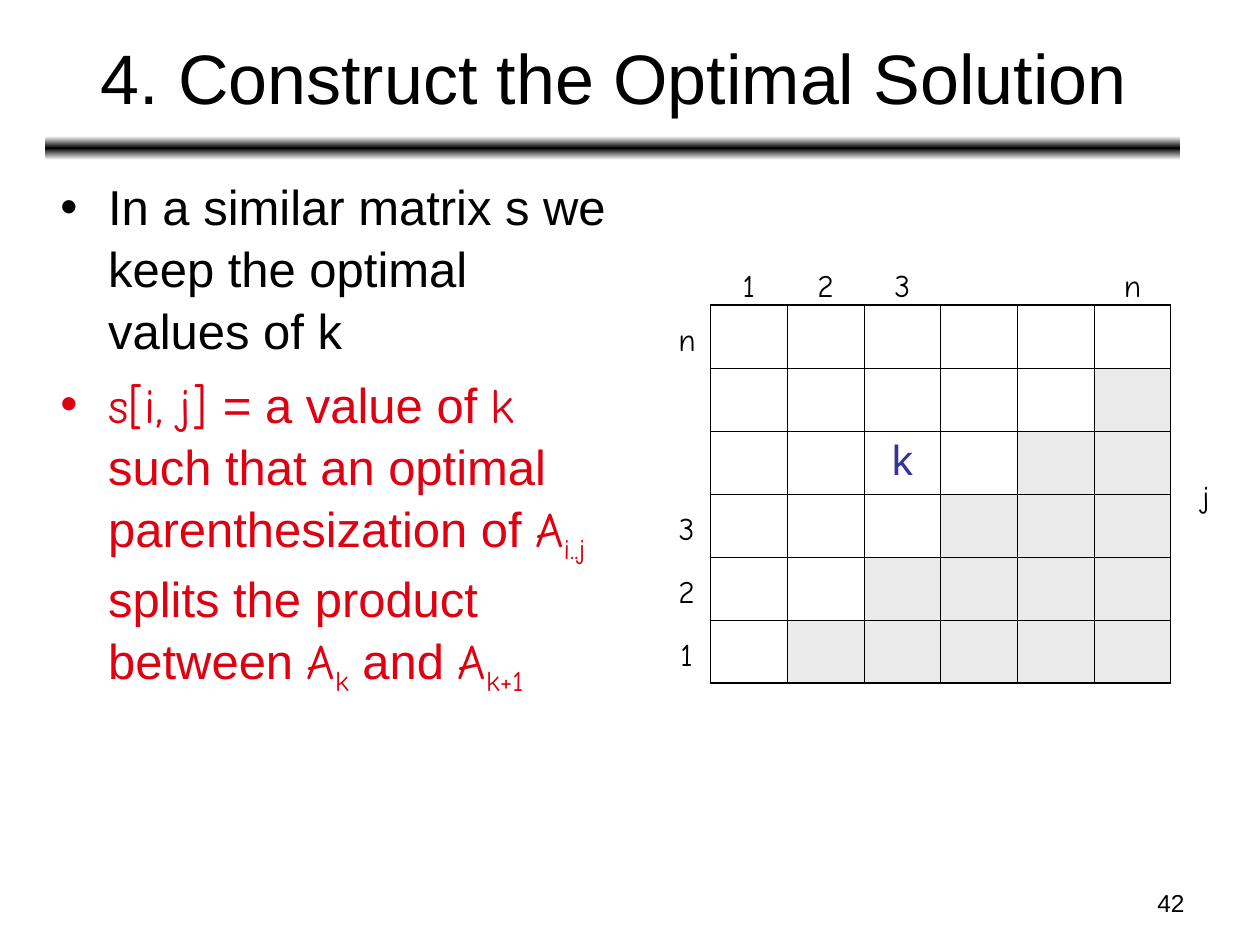
from copy import deepcopy
from pptx import Presentation
from pptx.dml.color import RGBColor
from pptx.enum.shapes import MSO_SHAPE
from pptx.enum.text import MSO_ANCHOR, PP_ALIGN
from pptx.oxml.ns import qn
from pptx.util import Inches, Pt
from lxml import etree

BAR = MSO_SHAPE.ROUNDED_RECTANGLE
MIDDLE = MSO_ANCHOR.MIDDLE
LEFT, CENTER, RIGHT = PP_ALIGN.LEFT, PP_ALIGN.CENTER, PP_ALIGN.RIGHT
SANS, HAND = "Arial", "Comic Neue"
BLACK, WHITE, RED, BLUE, GRAY = "000000", "FFFFFF", "DD0111", "333399", "EAEAEA"

TITLE = "4. Construct the Optimal Solution"
PAGE = "42"
# Each bullet: colour, then runs of (text, font, baseline in percent)
BULLETS = [
    (BLACK, [("In a similar matrix s we keep the optimal values of k", SANS, 0)]),
    (RED, [
        ("s[i, j] ", HAND, 0), ("= a value of ", SANS, 0), ("k", HAND, 0),
        (" such that an optimal parenthesization of ", SANS, 0),
        ("A", HAND, 0), ("i..j", HAND, -25),
        (" splits the product between ", SANS, 0),
        ("A", HAND, 0), ("k", HAND, -25), (" and ", SANS, 0),
        ("A", HAND, 0), ("k+1", HAND, -25),
    ]),
]
SIZE = 6
GRID_X, GRID_Y, GRID_W, GRID_H = 5.64, 2.42, 3.65, 3
COL_W, ROW_H = GRID_W / SIZE, GRID_H / SIZE
COLS = {0: "1", 1: "2", 2: "3", 5: "n"}
ROWS = {0: "n", 3: "3", 4: "2", 5: "1"}
K_CELL = (2, 2)
THICK, THIN = 1.08, 0.45


def rgb(code):
    return RGBColor.from_string(code)


def style(font, size, name=SANS, color=BLACK):
    for key, value in {"size": Pt(size), "name": name}.items():
        setattr(font, key, value)
    font.color.rgb = rgb(color)


def write(frame, text, size, align, name=SANS, color=BLACK):
    para = frame.paragraphs[0]
    para.alignment = align
    run = para.add_run()
    run.text = text
    style(run.font, size, name, color)


def add_box(slide, x, y, w, h, wrap=True):
    frame = slide.shapes.add_textbox(*map(Inches, (x, y, w, h))).text_frame
    frame.word_wrap = wrap
    return frame


def add_bar(slide):
    bar = slide.shapes.add_shape(BAR, *map(Inches, (0.36, 1.08, 9.01, 0.19)))
    bar.shadow.inherit = False
    bar.line.fill.background()
    bar.fill.gradient()
    bar.fill.gradient_angle = 90
    stops = bar._element.spPr.find(".//" + qn("a:gsLst"))
    stops.append(deepcopy(stops[0]))
    for stop, place, color in zip(bar.fill.gradient_stops, (0, 0.5, 1),
                                  (WHITE, BLACK, WHITE)):
        stop.position = place
        stop.color.rgb = rgb(color)


def add_title(slide):
    title = slide.shapes.title
    spots = {"left": 0.37, "top": 0.11, "width": 9, "height": 0.99}
    for key, value in spots.items():
        setattr(title, key, Inches(value))
    title.text_frame.vertical_anchor = MIDDLE
    write(title.text_frame, TITLE, 40, CENTER)


def add_bullets(slide):
    frame = add_box(slide, 0.38, 1.33, 4.55, 5.55)
    for i, (color, runs) in enumerate(BULLETS):
        para = frame.add_paragraph() if i else frame.paragraphs[0]
        props = para._p.get_or_add_pPr()
        props.set("marL", str(Inches(0.38)))
        props.set("indent", str(-Inches(0.38)))
        tint = etree.SubElement(props, qn("a:buClr"))
        etree.SubElement(tint, qn("a:srgbClr"), val=color)
        etree.SubElement(props, qn("a:buFont"), typeface=SANS)
        etree.SubElement(props, qn("a:buChar"), char="•")
        para.line_spacing = 1.05
        if i:
            para.space_before = Pt(7)
        for text, name, base in runs:
            run = para.add_run()
            run.text = text
            style(run.font, 28, name, color)
            if base:
                run._r.get_or_add_rPr().set("baseline", str(base * 1000))


def set_borders(cell, row, col):
    """Draw thick lines on the outer edge of the grid and thin ones inside."""
    last = SIZE - 1
    edges = {"lnL": col == 0, "lnR": col == last,
             "lnT": row == 0, "lnB": row == last}
    props = cell._tc.get_or_add_tcPr()
    for i, (tag, outer) in enumerate(edges.items()):
        line = etree.Element(qn("a:" + tag), w=str(Pt(THICK if outer else THIN)))
        fill = etree.SubElement(line, qn("a:solidFill"))
        etree.SubElement(fill, qn("a:srgbClr"), val=BLACK)
        props.insert(i, line)


def add_grid(slide):
    area = map(Inches, (GRID_X, GRID_Y, GRID_W, GRID_H))
    table = slide.shapes.add_table(SIZE, SIZE, *area).table
    table.first_row = table.horz_banding = False
    for row in range(SIZE):
        for col in range(SIZE):
            cell = table.cell(row, col)
            if row + col >= SIZE:
                cell.fill.solid()
                cell.fill.fore_color.rgb = rgb(GRAY)
            else:
                cell.fill.background()
            set_borders(cell, row, col)
    write(table.cell(*K_CELL).text_frame, "k", 24, CENTER, color=BLUE)


def add_label(slide, text, x, y):
    """Put a short label with its centre at x, y."""
    w, h = 0.33, 0.4
    frame = add_box(slide, x - w / 2, y - h / 2, w, h, wrap=False)
    write(frame, text, 18, CENTER, HAND)


def add_labels(slide):
    for col, text in COLS.items():
        add_label(slide, text, GRID_X + (col + 0.5) * COL_W, 2.26)
    for row, text in ROWS.items():
        add_label(slide, text, 5.45, GRID_Y + (row + 0.5) * ROW_H + 0.02)
    add_label(slide, "j", 9.57, 3.94)


def main():
    deck = Presentation()
    deck.slide_width, deck.slide_height = Inches(10), Inches(7.5)
    slide = deck.slides.add_slide(deck.slide_layouts[5])
    add_bar(slide)
    add_title(slide)
    add_bullets(slide)
    add_grid(slide)
    add_labels(slide)
    write(add_box(slide, 7.17, 7, 2.33, 0.35), PAGE, 14, RIGHT)
    deck.save("out.pptx")


if __name__ == "__main__":
    main()
